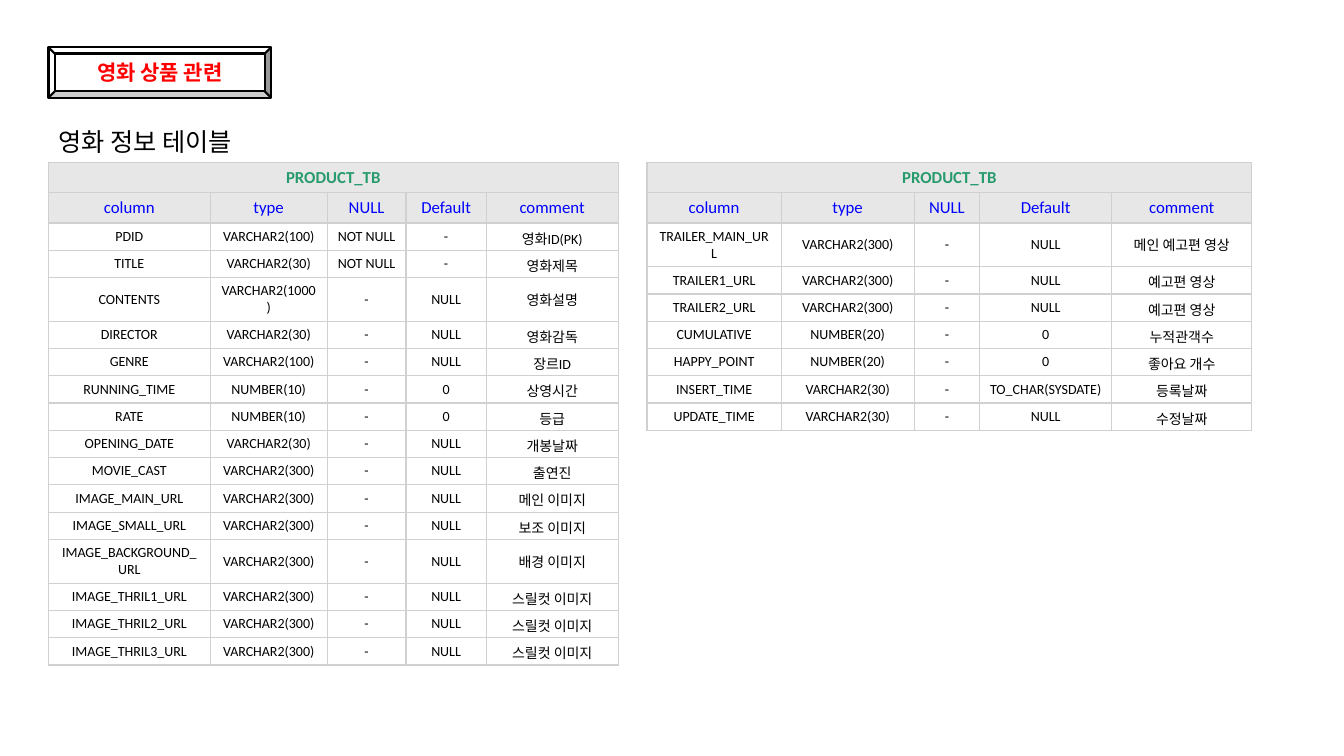
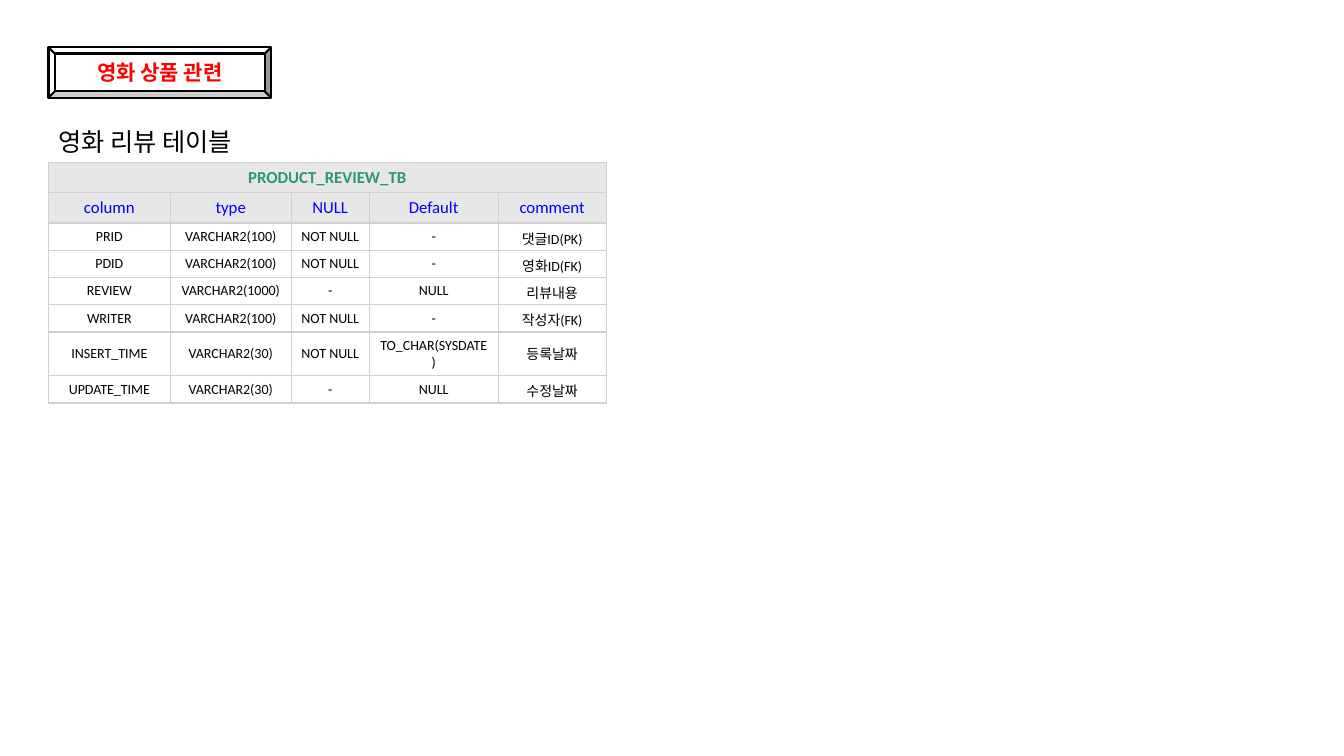
from lxml import etree
from pptx import Presentation
from pptx.dml.color import RGBColor
from pptx.enum.shapes import MSO_SHAPE
from pptx.enum.text import MSO_ANCHOR, PP_ALIGN
from pptx.oxml.ns import qn
from pptx.util import Pt

BEVEL = MSO_SHAPE.BEVEL
MIDDLE = MSO_ANCHOR.MIDDLE
CENTER = PP_ALIGN.CENTER
BLACK, WHITE, RED, BLUE, GREEN = "000000", "FFFFFF", "FF0000", "0000FF", "289B6E"
HEAD_FILL, BORDER = "E7E7E7", "D0D0D0"
LEFT, TABLE_TOP = 34.6, 116
HEAD_H, ROW_H = 21.6, 19.5
HEADERS = ("column", "type", "NULL", "Default", "comment")

movie_rows = [
    ("PDID", "VARCHAR2(100)", "NOT NULL", "-", "영화ID(PK)"),
    ("TITLE", "VARCHAR2(30)", "NOT NULL", "-", "영화제목"),
    ("CONTENTS", "VARCHAR2(1000)", "-", "NULL", "영화설명"),
    ("DIRECTOR", "VARCHAR2(30)", "-", "NULL", "영화감독"),
    ("GENRE", "VARCHAR2(100)", "-", "NULL", "장르ID"),
    ("RUNNING_TIME", "NUMBER(10)", "-", "0", "상영시간"),
    ("RATE", "NUMBER(10)", "-", "0", "등급"),
    ("OPENING_DATE", "VARCHAR2(30)", "-", "NULL", "개봉날짜"),
    ("MOVIE_CAST", "VARCHAR2(300)", "-", "NULL", "출연진"),
    ("IMAGE_MAIN_URL", "VARCHAR2(300)", "-", "NULL", "메인 이미지"),
    ("IMAGE_SMALL_URL", "VARCHAR2(300)", "-", "NULL", "보조 이미지"),
    ("IMAGE_BACKGROUND_URL", "VARCHAR2(300)", "-", "NULL", "배경 이미지"),
    ("IMAGE_THRIL1_URL", "VARCHAR2(300)", "-", "NULL", "스릴컷 이미지"),
    ("IMAGE_THRIL2_URL", "VARCHAR2(300)", "-", "NULL", "스릴컷 이미지"),
    ("IMAGE_THRIL3_URL", "VARCHAR2(300)", "-", "NULL", "스릴컷 이미지"),
]
trailer_rows = [
    ("TRAILER_MAIN_URL", "VARCHAR2(300)", "-", "NULL", "메인 예고편 영상"),
    ("TRAILER1_URL", "VARCHAR2(300)", "-", "NULL", "예고편 영상"),
    ("TRAILER2_URL", "VARCHAR2(300)", "-", "NULL", "예고편 영상"),
    ("CUMULATIVE", "NUMBER(20)", "-", "0", "누적관객수"),
    ("HAPPY_POINT", "NUMBER(20)", "-", "0", "좋아요 개수"),
    ("INSERT_TIME", "VARCHAR2(30)", "-", "TO_CHAR(SYSDATE)", "등록날짜"),
    ("UPDATE_TIME", "VARCHAR2(30)", "-", "NULL", "수정날짜"),
]
review_rows = [
    ("PRID", "VARCHAR2(100)", "NOT NULL", "-", "댓글ID(PK)"),
    ("PDID", "VARCHAR2(100)", "NOT NULL", "-", "영화ID(FK)"),
    ("REVIEW", "VARCHAR2(1000)", "-", "NULL", "리뷰내용"),
    ("WRITER", "VARCHAR2(100)", "NOT NULL", "-", "작성자(FK)"),
    ("INSERT_TIME", "VARCHAR2(30)", "NOT NULL", "TO_CHAR(SYSDATE)", "등록날짜"),
    ("UPDATE_TIME", "VARCHAR2(30)", "-", "NULL", "수정날짜"),
]
slides = [
    ("영화 정보 테이블", [
        ("PRODUCT_TB", LEFT, (115.5, 83.6, 56.3, 57.3, 94.3), movie_rows),
        ("PRODUCT_TB", 462.2, (95.8, 95, 46.8, 94.3, 100.1), trailer_rows),
    ]),
    ("영화 리뷰 테이블", [
        ("PRODUCT_REVIEW_TB", LEFT, (87, 86.4, 55.7, 92.2, 77.1), review_rows),
    ]),
]


def rgb(value):
    return RGBColor.from_string(value)


def write(tf, text, size, color, bold=False, align=None):
    p = tf.paragraphs[0]
    p.text = text
    p.alignment = align
    p.font.name = "Calibri"
    p.font.size = Pt(size)
    p.font.bold = bold
    p.font.color.rgb = rgb(color)


prs = Presentation()
prs.slide_width, prs.slide_height = Pt(960), Pt(540)

for heading, tables in slides:
    s = prs.slides.add_slide(prs.slide_layouts[6])

    sp = s.shapes.add_shape(BEVEL, Pt(LEFT), Pt(33.8), Pt(159), Pt(36))
    sp.shadow.inherit = False
    sp.fill.solid()
    sp.fill.fore_color.rgb = rgb(WHITE)
    sp.line.color.rgb = rgb(BLACK)
    sp.line.width = Pt(1.5)
    sp.text_frame.vertical_anchor = MIDDLE
    write(sp.text_frame, "영화 상품 관련", 15, RED, True, CENTER)

    tf = s.shapes.add_textbox(Pt(LEFT), Pt(87), Pt(214.6), Pt(29)).text_frame
    tf.word_wrap = True
    write(tf, heading, 18, BLACK)

    for name, left, widths, rows in tables:
        grid = [(name, "", "", "", ""), HEADERS] + rows
        height = 2 * HEAD_H + len(rows) * ROW_H
        table = s.shapes.add_table(len(grid), len(widths), Pt(left), Pt(TABLE_TOP),
                                   Pt(sum(widths)), Pt(height)).table
        table.first_row = table.horz_banding = False
        for column, width in zip(table.columns, widths):
            column.width = Pt(width)
        for i, texts in enumerate(grid):
            table.rows[i].height = Pt(HEAD_H if i < 2 else ROW_H)
            size = 12 if i < 2 else 10
            color = (GREEN, BLUE, BLACK)[min(i, 2)]
            for j, text in enumerate(texts):
                cell = table.cell(i, j)
                cell.vertical_anchor = MIDDLE
                tcPr = cell._tc.get_or_add_tcPr()
                for side in ("a:lnL", "a:lnR", "a:lnT", "a:lnB"):
                    ln = etree.SubElement(tcPr, qn(side), w=str(Pt(1)))
                    fill = etree.SubElement(ln, qn("a:solidFill"))
                    etree.SubElement(fill, qn("a:srgbClr"), val=BORDER)
                cell.fill.solid()
                cell.fill.fore_color.rgb = rgb(HEAD_FILL if i < 2 else WHITE)
                if text:
                    write(cell.text_frame, text, size, color, i == 0, CENTER)
        table.cell(0, 0).merge(table.cell(0, len(widths) - 1))

prs.save("out.pptx")
